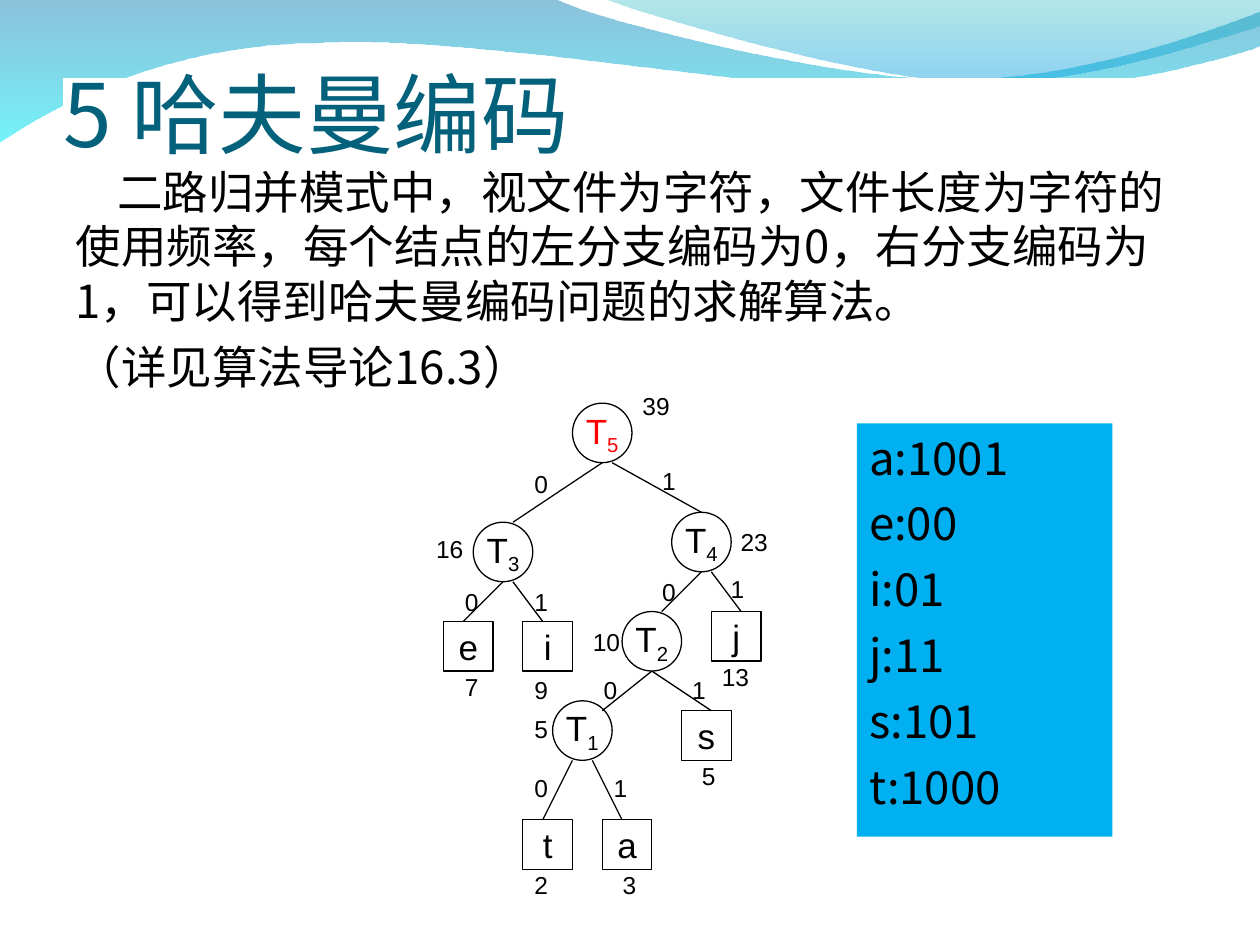
from lxml import etree
from pptx import Presentation
from pptx import util as u
from pptx.dml.color import RGBColor
from pptx.enum import shapes, text
from pptx.oxml import ns

CJK = "Noto Sans CJK SC"
LATIN = "Arial"
UNIT = u.Mm(2)
TREE_LEFT, TREE_TOP = u.Inches(3.52), u.Inches(3.2)
CIRCLE, SQUARE = 6, 5

BACK_WAVE = [[(0, -0.01)], [(4.4, -0.01)],
             [(4.76, 0.17), (6.64, 0.63), (7.58, 0.63)],
             [(8.53, 0.63), (9.58, 0.26), (10, 0.09)], [(10.01, 0.36)],
             [(9.83, 0.44), (8.7, 0.76), (7.46, 0.75)],
             [(6.22, 0.75), (3.82, 0.28), (2.57, 0.34)],
             [(1.29, 0.35), (0.46, 0.83), (-0.01, 1.13)]]
FRONT_WAVE = [[(4.79, -0.01)], [(5.09, 0.11), (6.82, 0.62), (7.69, 0.65)],
              [(8.56, 0.69), (9.61, 0.32), (10, 0.21)], [(10, 0)]]

INTRO = ["二路归并模式中，视文件为字符，文件长度为字符的使用频率，每个结点的左分支编码为0，"
         "右分支编码为1，可以得到哈夫曼编码问题的求解算法。", "（详见算法导论16.3）"]
CODES = ["a:1001", "e:00", "i:01", "j:11", "s:101", "t:1000"]

LEAVES = {"t": (8, 42), "a": (16, 42), "s": (24, 31),
          "e": (0, 22), "i": (8, 22), "j": (27, 21)}
MERGES = {"1": (11, 30), "2": (18, 21), "3": (3, 12), "4": (23, 11), "5": (13, 0)}
BRANCHES = [(13, 36, 10, 42), (15, 36, 18, 42), (21, 27, 16, 31), (21, 27, 27, 31),
            (6, 18, 2, 22), (7, 18, 10, 22), (26, 17, 22, 21), (27, 17, 30, 21),
            (16, 6, 7, 12), (17, 6, 26, 11)]
WEIGHTS = [("9", 7.9, 26.8), ("5", 7.9, 30.7), ("5", 24.8, 35.4), ("2", 7.9, 46.4),
           ("3", 16.8, 46.4), ("10", 13.8, 21.9), ("13", 26.8, 25.5), ("23", 28.7, 11.9),
           ("39", 18.8, -1.9), ("16", -2, 12.6), ("7", 0.9, 26.5)]
BITS = [("0", 7.9, 6), ("1", 20.8, 5.7), ("0", 0.9, 17.9), ("1", 7.9, 17.9),
        ("1", 27.7, 16.6), ("1", 23.8, 26.8), ("1", 15.9, 36.7), ("0", 20.8, 16.9),
        ("0", 14.9, 26.8), ("0", 7.9, 36.7)]


def color(value):
    return RGBColor.from_string(value)


def at(column, row):
    return round(TREE_LEFT + column * UNIT), round(TREE_TOP + row * UNIT)


def format_run(run, size, face, ink="000000"):
    run.font.size = u.Pt(size)
    run.font.name = face
    run.font.color.rgb = color(ink)
    etree.SubElement(run.font._element, ns.qn("a:ea"), typeface=face)


def fill_lines(frame, lines, size, face, gap=0):
    frame.text = "\n".join(lines)
    for index, paragraph in enumerate(frame.paragraphs):
        paragraph.space_before = u.Pt(gap if index else 0)
        paragraph.alignment = text.PP_ALIGN.LEFT
        for run in paragraph.runs:
            format_run(run, size, face)


def bend(wave, segments):
    corners = iter(list(wave._element.iter(ns.qn("a:lnTo"))))
    for segment in segments:
        handles = [next(corners) for _ in segment]
        if len(handles) == 3:
            curve = etree.Element(ns.qn("a:cubicBezTo"))
            handles[0].addprevious(curve)
            for handle in handles:
                curve.append(handle[0])
                handle.getparent().remove(handle)


def add_wave(slide, outline, stops, depth):
    points = [(x * 100, y * 100) for segment in outline for x, y in segment]
    builder = slide.shapes.build_freeform(*points[0], scale=u.Inches(0.01))
    builder.add_line_segments(points[1:], close=True)
    wave = builder.convert_to_shape()
    bend(wave, outline[1:])
    wave.shadow.inherit = False
    wave.line.fill.background()
    wave.fill.gradient()
    gradient = wave._element.spPr.find(ns.qn("a:gradFill"))
    for child in list(gradient):
        gradient.remove(child)
    stop_list = etree.SubElement(gradient, ns.qn("a:gsLst"))
    for position, (tone, opacity) in zip((0, 100000), stops):
        stop = etree.SubElement(stop_list, ns.qn("a:gs"), pos=str(position))
        tint = etree.SubElement(stop, ns.qn("a:srgbClr"), val=tone)
        etree.SubElement(tint, ns.qn("a:alpha"), val=str(opacity * 1000))
    etree.SubElement(gradient, ns.qn("a:lin"), ang="5400000", scaled="0")
    slide.shapes._spTree.insert(2 + depth, wave._element)


def place(part, left, top, width, height):
    part.left, part.top = u.Inches(left), u.Inches(top)
    part.width, part.height = u.Inches(width), u.Inches(height)


def add_heading(slide):
    heading = slide.shapes.title
    place(heading, 0.5, 0.62, 9, 0.69)
    heading.fill.solid()
    heading.fill.fore_color.rgb = color("FFFFFF")
    frame = heading.text_frame
    fill_lines(frame, ["5 哈夫曼编码"], 50, CJK)
    frame.paragraphs[0].runs[0].font.color.rgb = color("04617B")
    frame.auto_size = text.MSO_AUTO_SIZE.NONE
    frame.vertical_anchor = text.MSO_ANCHOR.BOTTOM
    frame.margin_left = frame.margin_right = frame.margin_bottom = 0


def add_intro(slide):
    intro = slide.placeholders[1]
    place(intro, 0.5, 1.25, 9, 2.26)
    frame = intro.text_frame
    fill_lines(frame, INTRO, 26, CJK, 6.5)
    frame.auto_size = text.MSO_AUTO_SIZE.NONE
    for paragraph, indent in zip(frame.paragraphs, (0.33, 0)):
        properties = paragraph._p.get_or_add_pPr()
        properties.set("marL", "0")
        properties.set("indent", str(u.Inches(indent)))
        etree.SubElement(properties, ns.qn("a:buNone"))


def add_node(tree, preset, position, size, letter, index="", ink="000000"):
    node = tree.shapes.add_shape(preset, *at(*position), size * UNIT, size * UNIT)
    node.shadow.inherit = False
    node.fill.background()
    node.line.color.rgb = color("000000")
    node.line.width = u.Pt(0.75)
    frame = node.text_frame
    frame.word_wrap = False
    frame.vertical_anchor = text.MSO_ANCHOR.MIDDLE
    paragraph = frame.paragraphs[0]
    paragraph.alignment = text.PP_ALIGN.CENTER
    for part in filter(None, (letter, index)):
        run = paragraph.add_run()
        run.text = part
        format_run(run, 20, LATIN, ink)
        if part == index:
            run.font._element.set("baseline", "-25000")


def add_branch(tree, x1, y1, x2, y2):
    branch = tree.shapes.add_connector(shapes.MSO_CONNECTOR.STRAIGHT, *at(x1, y1), *at(x2, y2))
    branch.line.color.rgb = color("000000")
    branch.line.width = u.Pt(0.75)
    etree.SubElement(branch._element.spPr, ns.qn("a:effectLst"))


def add_label(tree, value, column, row):
    label = tree.shapes.add_textbox(*at(column, row), u.Inches(0.47), u.Inches(0.34))
    label.text_frame.word_wrap = True
    fill_lines(label.text_frame, [value], 14, LATIN)


def add_tree(slide):
    tree = slide.shapes.add_group_shape()
    for letter, position in LEAVES.items():
        add_node(tree, shapes.MSO_SHAPE.RECTANGLE, position, SQUARE, letter)
    for index, position in MERGES.items():
        ink = "FF0000" if index == "5" else "000000"
        add_node(tree, shapes.MSO_SHAPE.OVAL, position, CIRCLE, "T", index, ink)
    for ends in BRANCHES:
        add_branch(tree, *ends)
    for label in WEIGHTS + BITS:
        add_label(tree, *label)


def add_code_list(slide):
    codes = slide.shapes.add_shape(shapes.MSO_SHAPE.RECTANGLE, u.Inches(6.8), u.Inches(3.36),
                                   u.Inches(2.03), u.Inches(3.28))
    codes.shadow.inherit = False
    codes.fill.solid()
    codes.fill.fore_color.rgb = color("00B0F0")
    codes.line.fill.background()
    codes.text_frame.vertical_anchor = text.MSO_ANCHOR.TOP
    fill_lines(codes.text_frame, CODES, 26, CJK, 6.5)


def main():
    deck = Presentation()
    deck.slide_width, deck.slide_height = u.Inches(10), u.Inches(7.5)
    slide = deck.slides.add_slide(deck.slide_layouts[1])
    add_wave(slide, BACK_WAVE, [("0079AF", 45), ("00EBF8", 55)], 0)
    add_wave(slide, FRONT_WAVE, [("00ADB6", 30), ("009BE5", 45)], 1)
    add_heading(slide)
    add_intro(slide)
    add_tree(slide)
    add_code_list(slide)
    deck.save("out.pptx")


if __name__ == "__main__":
    main()
